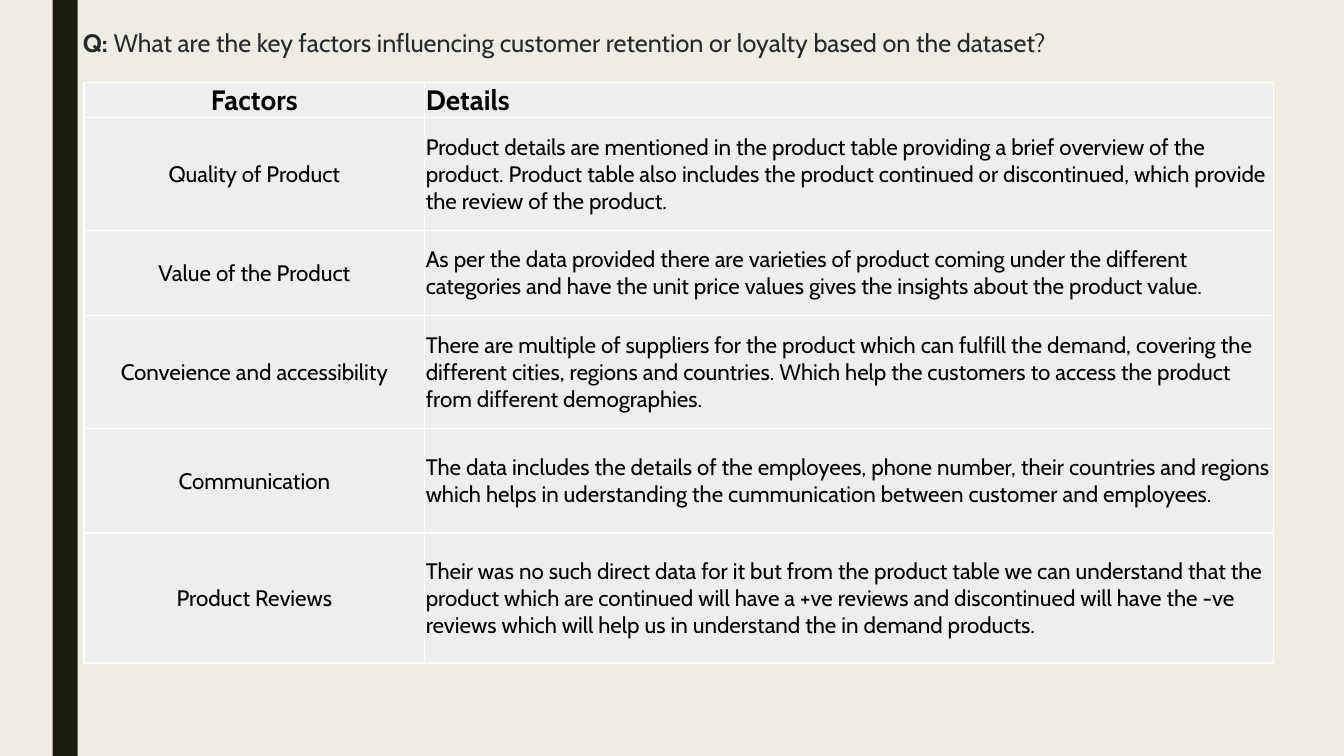
"""Build the customer retention factors slide."""
from lxml import etree
from pptx import Presentation, util as u
from pptx.dml import color
from pptx.enum import shapes, text
from pptx.oxml import ns

FONT = "Cabin"
COLUMN_WIDTHS = (243.4, 606.2)
ROW_HEIGHTS = (20.2, 80.6, 60.5, 80.6, 74.9, 92.9)
FACTORS = (
    ("Factors", "Details"),
    ("Quality of Product",
     "Product details are mentioned in the product table providing a brief overview of the "
     "product. Product table also includes the product continued or discontinued, which "
     "provide the review of the product."),
    ("Value of the Product",
     "As per the data provided there are varieties of product coming under the different "
     "categories and have the unit price values gives the insights about the product value."),
    ("Conveience and accessibility",
     "There are multiple of suppliers for the product which can fulfill the demand, covering "
     "the different cities, regions and countries. Which help the customers to access the "
     "product from different demographies."),
    ("Communication",
     "The data includes the details of the employees, phone number, their countries and "
     "regions which helps in uderstanding the cummunication between customer and employees."),
    ("Product Reviews",
     "Their was no such direct data for it but from the product table we can understand that "
     "the product which are continued will have a +ve reviews and discontinued will have the "
     "-ve reviews which will help us in understand the in demand products."),
)


def set_fill(fill, value):
    """Give a fill one solid colour."""
    fill.solid()
    fill.fore_color.rgb = color.RGBColor.from_string(value)


def add_run(paragraph, words, size, value, bold=False):
    """Append a formatted run to a paragraph."""
    run = paragraph.add_run()
    run.text = words
    run.font.name = FONT
    run.font.size = u.Pt(size)
    run.font.bold = bold
    set_fill(run.font.fill, value)


def add_side_bar(slide):
    """Draw the dark vertical bar at the left."""
    bar = slide.shapes.add_shape(
        shapes.MSO_SHAPE.RECTANGLE, u.Pt(37.5), u.Pt(0), u.Pt(18), u.Pt(540))
    bar.shadow.inherit = False
    set_fill(bar.fill, "191B0E")
    bar.line.fill.background()


def fill_title(slide):
    """Place the question in the title placeholder."""
    title = slide.shapes.title
    title.left, title.top = u.Pt(52), u.Pt(15.8)
    title.width, title.height = u.Pt(890), u.Pt(29)
    frame = title.text_frame
    frame.word_wrap = True
    frame.auto_size = text.MSO_AUTO_SIZE.NONE
    frame.vertical_anchor = text.MSO_ANCHOR.TOP
    paragraph = frame.paragraphs[0]
    paragraph.alignment = text.PP_ALIGN.LEFT
    add_run(paragraph, "Q: ", 18, "24292E", True)
    add_run(paragraph, "What are the key factors influencing customer retention or loyalty "
            "based on the dataset?", 18, "24292E")


def set_borders(cell, value, width):
    """Draw a solid line on all four sides of a cell."""
    properties = cell._tc.get_or_add_tcPr()
    for position, side in enumerate(("lnL", "lnR", "lnT", "lnB")):
        line = etree.Element(ns.qn(f"a:{side}"), w=str(u.Pt(width)))
        solid = etree.SubElement(line, ns.qn("a:solidFill"))
        etree.SubElement(solid, ns.qn("a:srgbClr"), val=value)
        properties.insert(position, line)


def fill_cell(cell, words, centred, header):
    """Write and format one table cell."""
    cell.margin_left = cell.margin_right = cell.margin_top = u.Pt(0.75)
    cell.margin_bottom = u.Pt(0)
    cell.vertical_anchor = text.MSO_ANCHOR.BOTTOM if header else text.MSO_ANCHOR.MIDDLE
    set_fill(cell.fill, "EEEEED")
    set_borders(cell, "FFFFFF", 1)
    paragraph = cell.text_frame.paragraphs[0]
    paragraph.alignment = text.PP_ALIGN.CENTER if centred else text.PP_ALIGN.LEFT
    add_run(paragraph, words, 20 if header else 16, "000000", header)


def add_factor_table(slide):
    """Add the table of factors and details."""
    table = slide.shapes.add_table(
        len(FACTORS), len(COLUMN_WIDTHS), u.Pt(60), u.Pt(59),
        u.Pt(sum(COLUMN_WIDTHS)), u.Pt(sum(ROW_HEIGHTS))).table
    table.horz_banding = False
    for column, width in zip(table.columns, COLUMN_WIDTHS):
        column.width = u.Pt(width)
    for row_index, (row, height) in enumerate(zip(table.rows, ROW_HEIGHTS)):
        row.height = u.Pt(height)
        for column_index, words in enumerate(FACTORS[row_index]):
            fill_cell(row.cells[column_index], words, column_index == 0, row_index == 0)


def main():
    """Build and save the presentation."""
    presentation = Presentation()
    presentation.slide_width, presentation.slide_height = u.Pt(960), u.Pt(540)
    slide = presentation.slides.add_slide(presentation.slide_layouts[5])
    set_fill(slide.background.fill, "EFEDE3")
    add_side_bar(slide)
    fill_title(slide)
    add_factor_table(slide)
    presentation.save("out.pptx")


if __name__ == "__main__":
    main()
